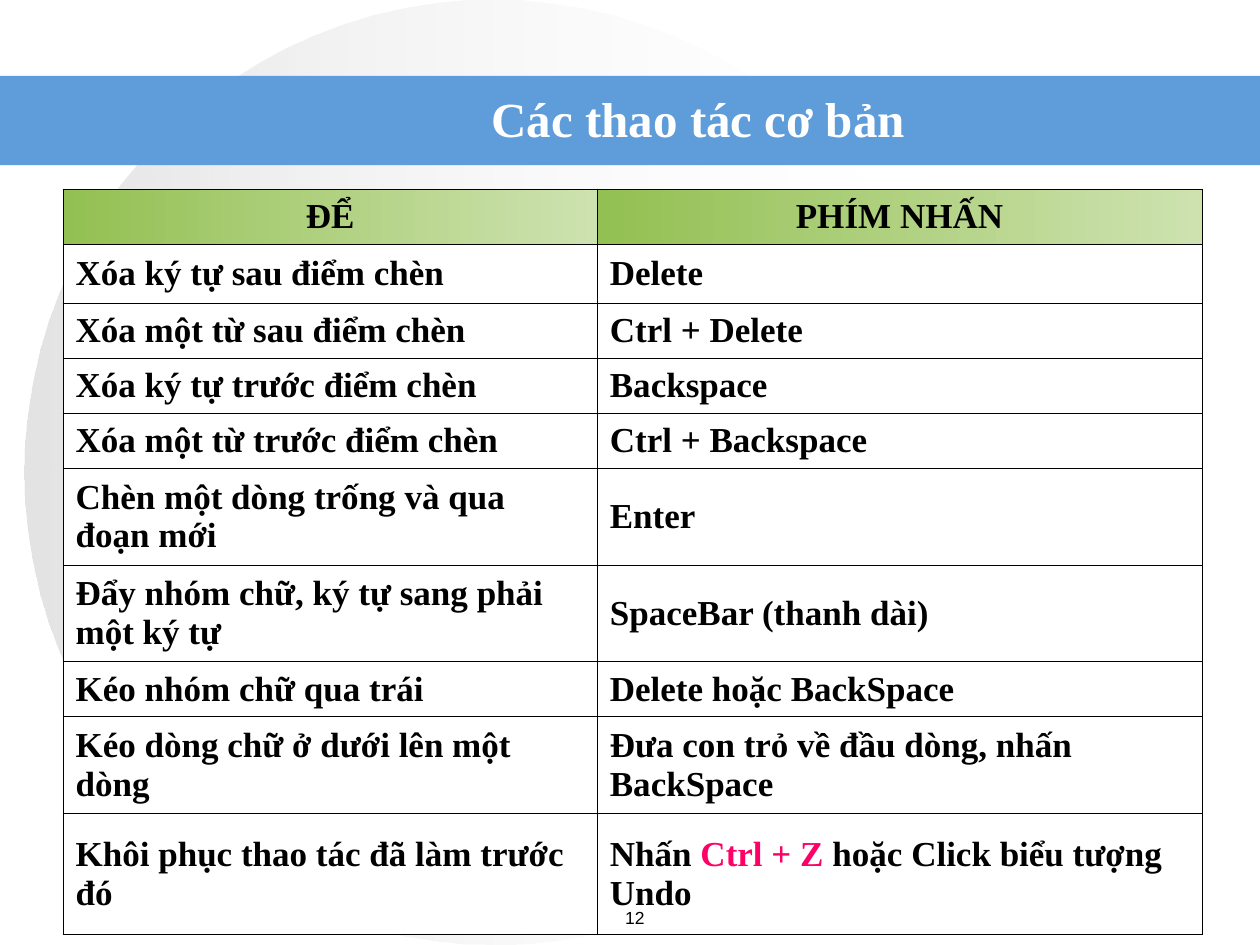
from dataclasses import dataclass

import pptx
import pptx.dml.color
import pptx.dml.fill
import pptx.enum.shapes
import pptx.enum.text
import pptx.oxml
import pptx.oxml.ns
import pptx.util
from lxml import etree
from pptx.util import Cm

COLORS = {
    "white": "FFFFFF",
    "black": "000000",
    "band": "5E9CDA",
    "circle": "C0C0C0",
    "header_start": "93C052",
    "header_end": "CEE2B0",
    "highlight": "FF0066",
}
SERIF = "Times New Roman"
CENTER = pptx.enum.text.PP_ALIGN.CENTER
LEFT = pptx.enum.text.PP_ALIGN.LEFT
MIDDLE = pptx.enum.text.MSO_ANCHOR.MIDDLE
TOP = pptx.enum.text.MSO_ANCHOR.TOP
SHAPES = pptx.enum.shapes.MSO_SHAPE
SHORT, TALL = 1.11, 1.95
COLUMN_WIDTHS = (10.77, 12.19)


@dataclass(frozen=True)
class Box:
    left: float
    top: float
    width: float
    height: float

    def lengths(self) -> tuple:
        return Cm(self.left), Cm(self.top), Cm(self.width), Cm(self.height)


@dataclass(frozen=True)
class TextStyle:
    size: float
    font: str = SERIF
    color: str = "black"
    bold: bool = True
    alignment: int = CENTER


@dataclass(frozen=True)
class Row:
    purpose: str
    keys: str
    height: float = SHORT
    highlight: str = ""


ROWS = (
    Row("ĐỂ", "PHÍM NHẤN"),
    Row("Xóa ký tự sau điểm chèn", "Delete", 1.19),
    Row("Xóa một từ sau điểm chèn", "Ctrl + Delete"),
    Row("Xóa ký tự trước điểm chèn", "Backspace"),
    Row("Xóa một từ trước điểm chèn", "Ctrl + Backspace"),
    Row("Chèn một dòng trống và qua đoạn mới", "Enter", TALL),
    Row("Đẩy nhóm chữ, ký tự sang phải một ký tự", "SpaceBar (thanh dài)", TALL),
    Row("Kéo nhóm chữ qua trái", "Delete hoặc BackSpace"),
    Row("Kéo dòng chữ ở dưới lên một dòng", "Đưa con trỏ về đầu dòng, nhấn BackSpace", TALL),
    Row("Khôi phục thao tác đã làm trước đó",
        "Nhấn Ctrl + Z hoặc Click biểu tượng Undo", 2.44, "Ctrl + Z"),
)


def rgb(name: str) -> pptx.dml.color.RGBColor:
    return pptx.dml.color.RGBColor.from_string(COLORS[name])


def fill_solid(fill: pptx.dml.fill.FillFormat, color: str) -> None:
    fill.solid()
    fill.fore_color.rgb = rgb(color)


def fill_gradient(fill: pptx.dml.fill.FillFormat, start: str, end: str) -> None:
    fill.gradient()
    fill.gradient_angle = 0
    for stop, color in zip(fill.gradient_stops, (start, end)):
        stop.color.rgb = rgb(color)


def add_plain_shape(slide, kind, box: Box):
    shape = slide.shapes.add_shape(kind, *box.lengths())
    shape.shadow.inherit = False
    shape.line.fill.background()
    return shape


def add_background(slide) -> None:
    circle = add_plain_shape(slide, SHAPES.OVAL, Box(0.5, 0, 18.9, 19.05))
    fill_gradient(circle.fill, "circle", "white")
    stop_colors = circle.fill._xPr.iter(pptx.oxml.ns.qn("a:srgbClr"))
    for color, opacity in zip(stop_colors, (44, 0)):
        etree.SubElement(color, pptx.oxml.ns.qn("a:alpha"), val=str(opacity * 1000))
    band = add_plain_shape(slide, SHAPES.RECTANGLE, Box(0, 1.53, 25.4, 1.8))
    fill_solid(band.fill, "band")


def write_text(frame, text: str, style: TextStyle, highlight: str = "") -> None:
    paragraph = frame.paragraphs[0]
    paragraph.alignment = style.alignment
    font = paragraph.font
    font.name, font.size, font.bold = style.font, pptx.util.Pt(style.size), style.bold
    if not highlight:
        font.color.rgb = rgb(style.color)
        paragraph.add_run().text = text
        return
    before, after = text.split(highlight)
    for part, color in ((before, style.color), (highlight, "highlight"), (after, style.color)):
        run = paragraph.add_run()
        run.text = part
        run.font.color.rgb = rgb(color)


def add_text(slide, box: Box, text: str, style: TextStyle, anchor: int) -> None:
    frame = slide.shapes.add_textbox(*box.lengths()).text_frame
    frame.word_wrap = True
    frame.vertical_anchor = anchor
    write_text(frame, text, style)


def add_borders(cell) -> None:
    properties = cell._tc.get_or_add_tcPr()
    for index, side in enumerate(("lnL", "lnR", "lnT", "lnB")):
        border = pptx.oxml.parse_xml(
            f'<a:{side} {pptx.oxml.ns.nsdecls("a")} w="{pptx.util.Pt(0.45)}"><a:solidFill>'
            f'<a:srgbClr val="{COLORS["black"]}"/></a:solidFill></a:{side}>'
        )
        properties.insert(index, border)


def add_key_table(slide) -> None:
    box = Box(1.27, 3.81, sum(COLUMN_WIDTHS), sum(row.height for row in ROWS))
    table = slide.shapes.add_table(len(ROWS), len(COLUMN_WIDTHS), *box.lengths()).table
    table.horz_banding = False
    for column, width in zip(table.columns, COLUMN_WIDTHS):
        column.width = Cm(width)
    for index, row in enumerate(ROWS):
        table.rows[index].height = Cm(row.height)
        style = TextStyle(20, alignment=LEFT if index else CENTER)
        for cell, text, highlight in zip(
            table.rows[index].cells, (row.purpose, row.keys), ("", row.highlight)
        ):
            cell.vertical_anchor = MIDDLE
            if index:
                fill_solid(cell.fill, "white")
            else:
                fill_gradient(cell.fill, "header_start", "header_end")
            add_borders(cell)
            write_text(cell.text_frame, text, style, highlight)


def main() -> None:
    presentation = pptx.Presentation()
    presentation.slide_width, presentation.slide_height = Cm(25.4), Cm(19.05)
    slide = presentation.slides.add_slide(presentation.slide_layouts[6])
    fill_solid(slide.background.fill, "white")
    add_background(slide)
    add_text(slide, Box(5.72, 1.7, 16.71, 1.35), "Các thao tác cơ bản",
             TextStyle(28, color="white"), MIDDLE)
    add_key_table(slide)
    add_text(slide, Box(11.63, 18.16, 2.34, 0.74), "12",
             TextStyle(10, "Arial", bold=False), TOP)
    presentation.save("out.pptx")


if __name__ == "__main__":
    main()
